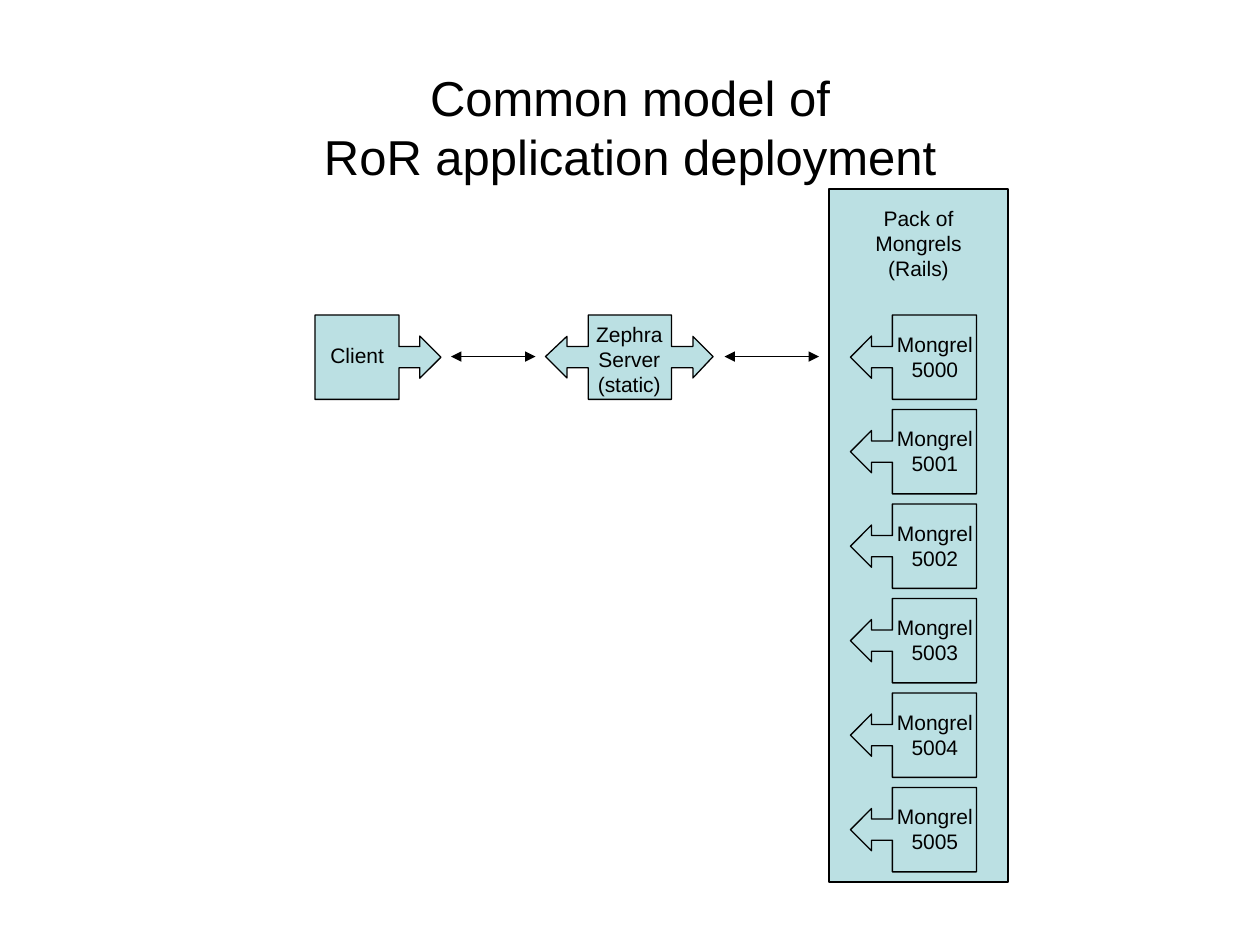
"""Build a slide on the common model of RoR application deployment."""
from lxml import etree
from pptx import Presentation
from pptx.dml.color import RGBColor
from pptx.enum.shapes import MSO_CONNECTOR, MSO_SHAPE
from pptx.enum.text import MSO_ANCHOR, PP_ALIGN
from pptx.oxml.ns import qn
from pptx.util import Inches, Pt

RECTANGLE = MSO_SHAPE.RECTANGLE
LEFT_CALLOUT = MSO_SHAPE.LEFT_ARROW_CALLOUT
RIGHT_CALLOUT = MSO_SHAPE.RIGHT_ARROW_CALLOUT
STRAIGHT = MSO_CONNECTOR.STRAIGHT
CENTER = PP_ALIGN.CENTER
MIDDLE = MSO_ANCHOR.MIDDLE
TOP = MSO_ANCHOR.TOP

COLORS = {"fill": "BBE0E3", "ink": "000000"}
INK = RGBColor.from_string(COLORS["ink"])
BLOCK_HEIGHT = 0.67
ROW_TOP = 2.5
ROW_PITCH = 0.75
ARROW_Y = 2.83


def style_shape(shape):
    shape.shadow.inherit = False
    shape.fill.solid()
    shape.fill.fore_color.rgb = RGBColor.from_string(COLORS["fill"])
    shape.line.color.rgb = INK
    shape.line.width = Pt(0.75)


def add_text(text, left, top, width, height, size=12, anchor=TOP):
    box = slide.shapes.add_textbox(
        Inches(left), Inches(top), Inches(width), Inches(height))
    frame = box.text_frame
    frame.word_wrap = True
    frame.vertical_anchor = anchor
    frame.text = text
    for paragraph in frame.paragraphs:
        paragraph.alignment = CENTER
        paragraph.font.size = Pt(size)
        paragraph.font.name = "Arial"
        paragraph.font.color.rgb = INK


presentation = Presentation()
presentation.slide_width = Inches(10)
presentation.slide_height = Inches(7.5)
slide = presentation.slides.add_slide(presentation.slide_layouts[6])

pack = slide.shapes.add_shape(
    RECTANGLE, Inches(6.58), Inches(1.5), Inches(1.42), Inches(5.5))
style_shape(pack)
add_text("Common model of\vRoR application deployment",
         0.75, 0.67, 8.5, 0.67, size=28, anchor=MIDDLE)

server_points = [
    (4.67, 2.5), (5.33, 2.5), (5.33, 2.75), (5.5, 2.75), (5.5, 2.67),
    (5.66, 2.83), (5.5, 3), (5.5, 2.92), (5.33, 2.92), (5.33, 3.17),
    (4.67, 3.17), (4.67, 2.92), (4.5, 2.92), (4.5, 3), (4.33, 2.83),
    (4.5, 2.67), (4.5, 2.75), (4.67, 2.75),
]
outline = [(Inches(x), Inches(y)) for x, y in server_points]
builder = slide.shapes.build_freeform(*outline[0])
builder.add_line_segments(outline[1:], close=True)
style_shape(builder.convert_to_shape())

callouts = [(RIGHT_CALLOUT, 2.5, ROW_TOP)]
callouts += [(LEFT_CALLOUT, 6.75, ROW_TOP + row * ROW_PITCH) for row in range(6)]
for kind, left, top in callouts:
    callout = slide.shapes.add_shape(
        kind, Inches(left), Inches(top), Inches(1), Inches(BLOCK_HEIGHT))
    callout.adjustments[3] = 0.667
    style_shape(callout)

for row in range(6):
    add_text(f"Mongrel\n{5000 + row}", 6.92, ROW_TOP + 0.08 + row * ROW_PITCH, 1, 0.5)
add_text("Pack of Mongrels\n(Rails)", 6.58, 1.58, 1.42, 0.9)
add_text("Client", 2.5, 2.67, 0.67, 0.3)
add_text("Zephra\nServer\n(static)", 4.58, 2.5, 0.83, 0.9)

for start, end in [(3.58, 4.25), (5.75, 6.5)]:
    connector = slide.shapes.add_connector(
        STRAIGHT, Inches(start), Inches(ARROW_Y), Inches(end), Inches(ARROW_Y))
    connector.line.color.rgb = INK
    connector.line.width = Pt(0.75)
    line = connector.line._get_or_add_ln()
    for tag in ("a:headEnd", "a:tailEnd"):
        etree.SubElement(line, qn(tag), type="triangle")
    etree.SubElement(connector._element.spPr, qn("a:effectLst"))

presentation.save("out.pptx")
